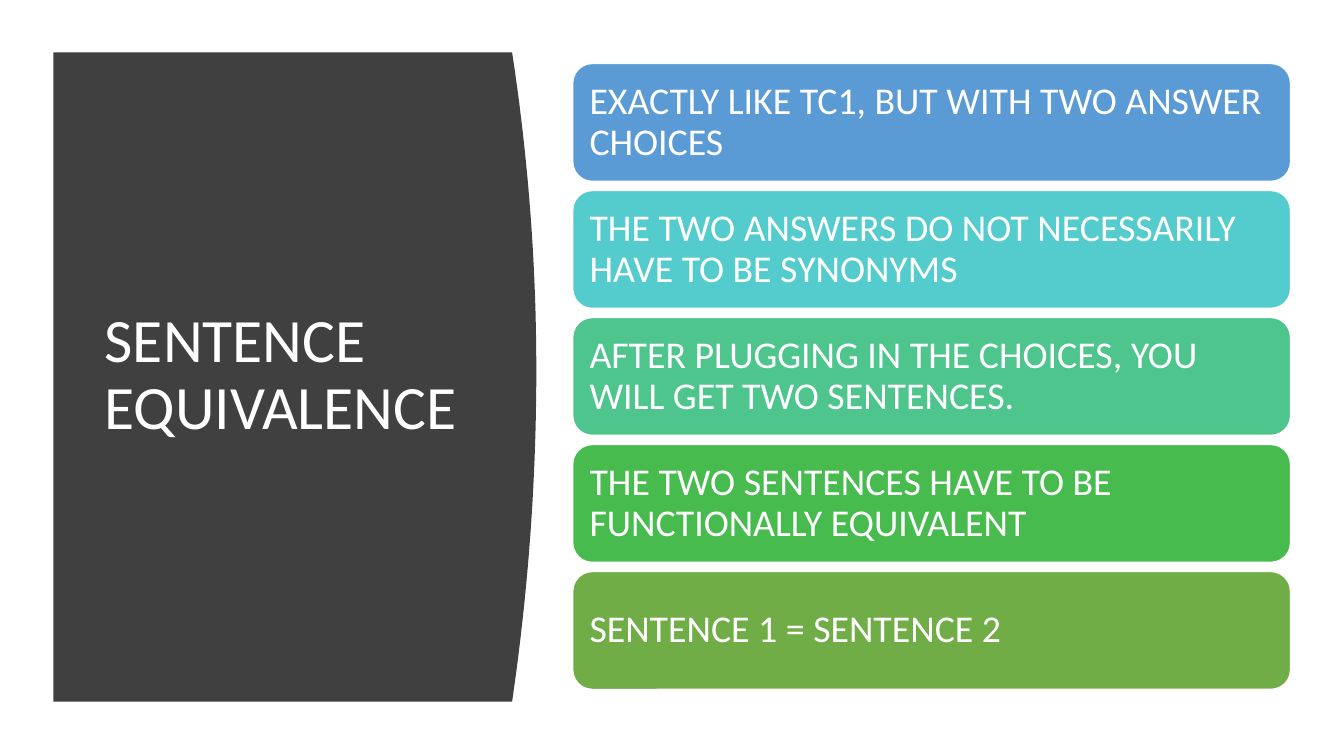
from dataclasses import dataclass

from pptx import Presentation
from pptx.dml.color import RGBColor
from pptx.enum.shapes import MSO_SHAPE
from pptx.enum.text import MSO_ANCHOR, PP_ALIGN
from pptx.util import Pt

PX = 9144  # 100 px to the inch
ROUNDED = MSO_SHAPE.ROUNDED_RECTANGLE
MIDDLE = MSO_ANCHOR.MIDDLE
LEFT = PP_ALIGN.LEFT


@dataclass(frozen=True)
class Theme:
    font: str = "Calibri"
    title_size: int = 44
    point_size: int = 27
    panel: str = "404040"
    light: str = "FFFFFF"


THEME = Theme()
TITLE = "SENTENCE EQUIVALENCE"
POINTS = [
    ("EXACTLY LIKE TC1, BUT WITH TWO ANSWER CHOICES", "5B9BD5"),
    ("THE TWO ANSWERS DO NOT NECESSARILY HAVE TO BE SYNONYMS", "54CCCD"),
    ("AFTER PLUGGING IN THE CHOICES, YOU WILL GET TWO SENTENCES.", "4DC58D"),
    ("THE TWO SENTENCES HAVE TO BE FUNCTIONALLY EQUIVALENT", "48BB4F"),
    ("SENTENCE 1 = SENTENCE 2", "70AD47"),
]


def px(*lengths):
    return [round(length * PX) for length in lengths]


def fill_with(shape, color):
    shape.shadow.inherit = False
    shape.fill.solid()
    shape.fill.fore_color.rgb = RGBColor.from_string(color)


def write(shape, text, size, inset_x, inset_y):
    frame = shape.text_frame
    side, top = px(inset_x, inset_y)
    frame_format = {
        "word_wrap": True, "vertical_anchor": MIDDLE,
        "margin_left": side, "margin_right": side,
        "margin_top": top, "margin_bottom": top,
    }
    for name, value in frame_format.items():
        setattr(frame, name, value)
    paragraph = frame.paragraphs[0]
    paragraph.text = text
    paragraph.alignment = LEFT
    paragraph.line_spacing = 0.9
    font = paragraph.runs[0].font
    font.name = THEME.font
    font.size = Pt(size)
    font.color.rgb = RGBColor.from_string(THEME.light)


def add_title_panel(slide, left, top, width, height):
    """Dark panel whose right edge bulges as two half parabolas."""
    bulge, peak, steps = 24, 315, 40
    edge = []
    for step in range(steps + 1):
        y = height * step / steps
        reach = peak if y < peak else height - peak
        x = width - bulge * ((y - peak) / reach) ** 2
        edge.append(px(left + x, top + y))
    outline = slide.shapes.build_freeform(*px(left, top), scale=1.0)
    outline.add_line_segments(edge + [px(left, top + height)], close=True)
    panel = outline.convert_to_shape()
    fill_with(panel, THEME.panel)
    panel.line.fill.background()

    title = slide.shapes.add_textbox(*px(left + 41, top + 59, 374, height - 120))
    write(title, TITLE, THEME.title_size, 10, 5)


def add_points(slide, left, top, width, height):
    """Equal rounded bars filling the box from top to bottom."""
    gap = 9
    bar_height = (height - gap * (len(POINTS) - 1)) / len(POINTS)
    for row, (text, color) in enumerate(POINTS):
        bar_top = top + row * (bar_height + gap)
        bar = slide.shapes.add_shape(ROUNDED, *px(left, bar_top, width, bar_height))
        fill_with(bar, color)
        bar.line.color.rgb = RGBColor.from_string(THEME.light)
        bar.line.width = Pt(1)
        write(bar, text, THEME.point_size, 11, 11)


def main():
    deck = Presentation()
    deck.slide_width, deck.slide_height = px(1333, 750)
    slide = deck.slides.add_slide(deck.slide_layouts[6])
    add_title_panel(slide, 53, 52, 479, 644)
    add_points(slide, 568, 63, 712, 621)
    deck.save("out.pptx")


if __name__ == "__main__":
    main()
